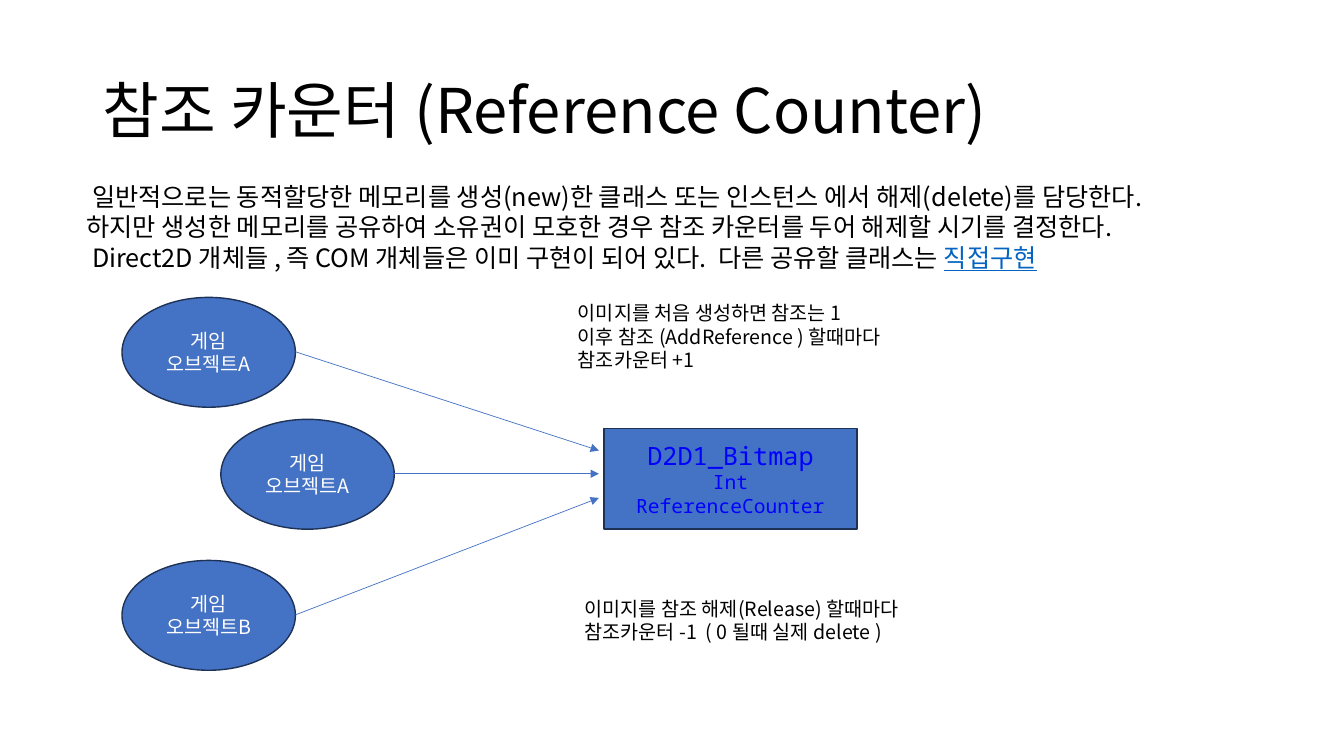
from lxml.etree import SubElement
from pptx import Presentation
from pptx.dml.color import RGBColor
from pptx.enum.shapes import MSO_CONNECTOR, MSO_SHAPE
from pptx.enum.text import MSO_ANCHOR, MSO_AUTO_SIZE, PP_ALIGN
from pptx.oxml.ns import qn
from pptx.util import Pt

PX = 9144
BLACK = RGBColor(0, 0, 0)
WHITE = RGBColor(255, 255, 255)
BLUE = RGBColor(0x44, 0x72, 0xC4)
NAVY = RGBColor(0x1E, 0x32, 0x56)
PURE = RGBColor(0, 0, 255)
LINK = RGBColor(0x05, 0x63, 0xC1)
SANS = "Noto Sans CJK KR"
MONO = "Noto Sans Mono"


def style(frame, size, color, align=PP_ALIGN.LEFT, face=SANS):
    for para in frame.paragraphs:
        para.alignment = align
        for run in para.runs:
            run.font.size = Pt(size)
            run.font.color.rgb = color
            run.font.name = face
            SubElement(run._r.get_or_add_rPr(), qn("a:ea"), typeface=face)


def add_node(kind, box, text):
    node = slide.shapes.add_shape(kind, *[v * PX for v in box])
    node.shadow.inherit = False
    node.fill.solid()
    node.fill.fore_color.rgb = BLUE
    node.line.color.rgb = NAVY
    node.line.width = Pt(1)
    frame = node.text_frame
    frame.word_wrap = True
    frame.vertical_anchor = MSO_ANCHOR.MIDDLE
    frame.text = text
    return frame


deck = Presentation()
deck.slide_width = 1333 * PX
deck.slide_height = 750 * PX
slide = deck.slides.add_slide(deck.slide_layouts[5])

title = slide.shapes.title
title.left, title.top, title.width, title.height = [v * PX for v in (92, 40, 1150, 145)]
frame = title.text_frame
frame.text = "참조 카운터 (Reference Counter)"
frame.auto_size = MSO_AUTO_SIZE.NONE
frame.vertical_anchor = MSO_ANCHOR.MIDDLE
frame.paragraphs[0].line_spacing = 0.9
style(frame, 44, BLACK)

intro = """ 일반적으로는 동적할당한 메모리를 생성(new)한 클래스 또는 인스턴스 에서 해제(delete)를 담당한다.
하지만 생성한 메모리를 공유하여 소유권이 모호한 경우 참조 카운터를 두어 해제할 시기를 결정한다.
 Direct2D 개체들 , 즉 COM 개체들은 이미 구현이 되어 있다.  다른 공유할 클래스는 """
first = """ 이미지를 처음 생성하면 참조는 1
 이후 참조 (AddReference ) 할때마다
 참조카운터 +1"""
free = """이미지를 참조 해제(Release) 할때마다
참조카운터 -1  ( 0 될때 실제 delete )"""

notes = [
    ((76, 175, 1181, 101), intro, 18, False, "직접구현"),
    ((559, 294, 600, 81), first, 14, True, ""),
    ((570, 587, 362, 57), free, 14, False, ""),
]
for box, text, size, wrap, link in notes:
    frame = slide.shapes.add_textbox(*[v * PX for v in box]).text_frame
    frame.word_wrap = wrap
    frame.auto_size = MSO_AUTO_SIZE.SHAPE_TO_FIT_TEXT
    frame.text = text
    if link:
        run = frame.paragraphs[-1].add_run()
        run.text = link
    style(frame, size, BLACK)
    if link:
        run.font.color.rgb = LINK
        run.font.underline = True

frame = add_node(MSO_SHAPE.RECTANGLE, (599, 425, 251, 100), "D2D1_Bitmap\nInt ReferenceCounter")
style(frame, 14, PURE, PP_ALIGN.CENTER, MONO)
frame.paragraphs[0].runs[0].font.size = Pt(18)

WIDE, HIGH, TIP = 172, 109, 594
games = [(121, 295, "A", 447), (219, 416, "A", 470), (121, 556, "B", 494)]
for left, top, name, end in games:
    frame = add_node(MSO_SHAPE.OVAL, (left, top, WIDE, HIGH), f"게임\n오브젝트{name}")
    style(frame, 14, WHITE, PP_ALIGN.CENTER)
    ends = (left + WIDE, top + HIGH // 2, TIP, end)
    arrow = slide.shapes.add_connector(MSO_CONNECTOR.STRAIGHT, *[v * PX for v in ends])
    arrow.line.color.rgb = BLUE
    arrow.line.width = Pt(0.5)
    SubElement(arrow.line._get_or_add_ln(), qn("a:tailEnd"), type="triangle")
    SubElement(arrow._element.spPr, qn("a:effectLst"))

deck.save("out.pptx")
